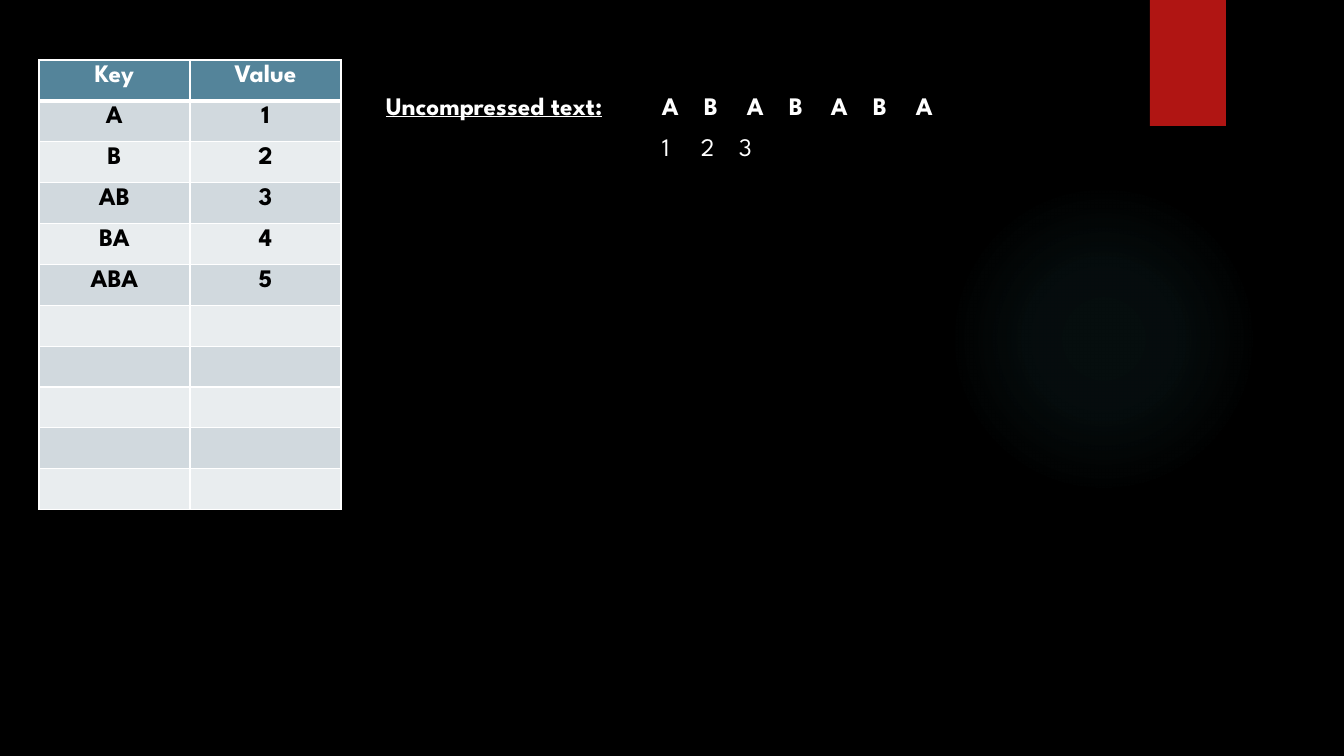
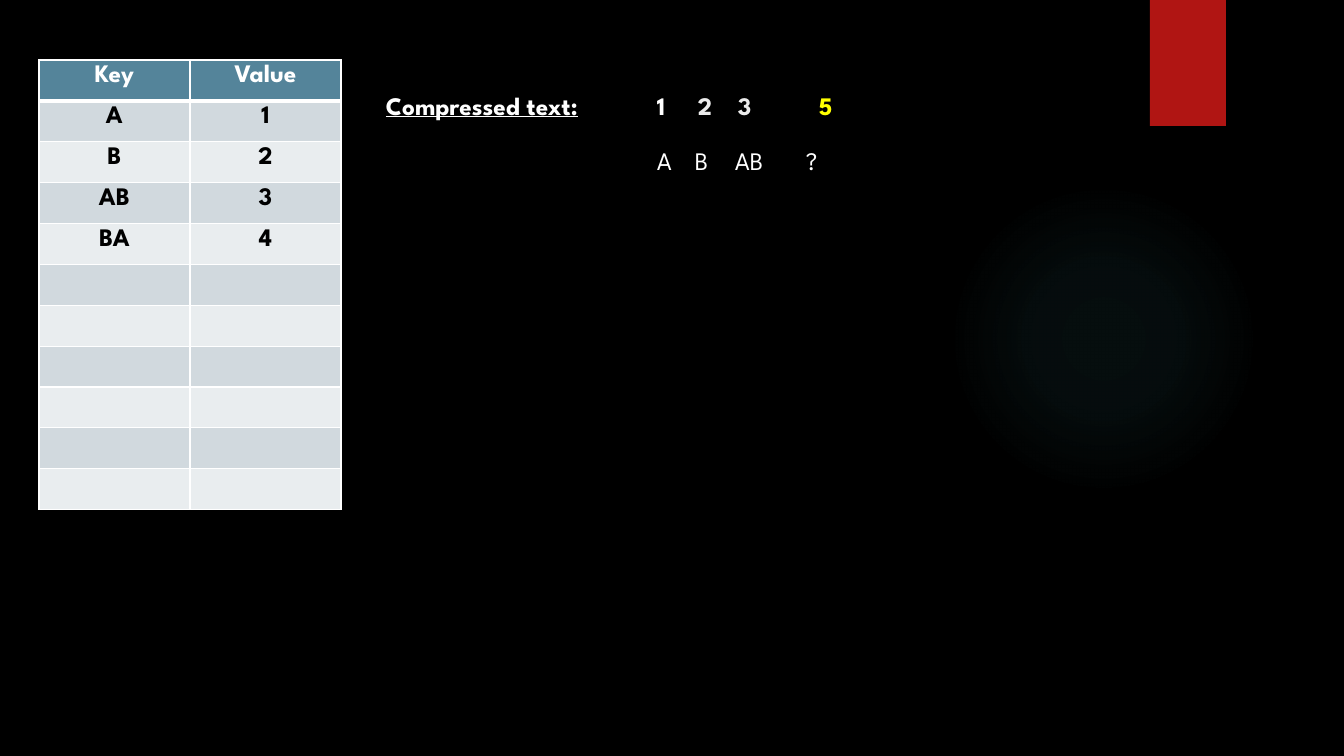
from dataclasses import dataclass

from lxml.etree import SubElement
from pptx import Presentation
from pptx.dml.color import RGBColor
from pptx.enum.shapes import MSO_SHAPE as Shape
from pptx.enum.text import PP_ALIGN as Align
from pptx.oxml import parse_xml
from pptx.oxml.ns import nsdecls, qn
from pptx.slide import Slide
from pptx.util import Emu, Pt

EMU_PER_PX = 914400 / 100.8
FONT = "League Spartan"
WHITE, BLACK, PALE, YELLOW = "FFFFFF", "000000", "EBEBEB", "FFFF00"
RED, TEAL, GLOW = "B01513", "54849A", "50B9C1"
BANDS = ("D1D9DE", "E9EDEF")
TABLE_ROWS = 11


@dataclass(frozen=True)
class Token:
    text: str
    color: str = WHITE


@dataclass(frozen=True)
class TextLine:
    x: int
    y: int
    w: int
    tokens: tuple[Token, ...]
    tabs: tuple[int, ...] = ()
    bold: bool = False
    underline: bool = False


@dataclass(frozen=True)
class Page:
    keys: tuple[str, ...]
    lines: tuple[TextLine, ...]


def px(n: int) -> Emu:
    return Emu(round(n * EMU_PER_PX))


def rgb(color: str) -> RGBColor:
    return RGBColor.from_string(color)


def tokens(text: str) -> tuple[Token, ...]:
    return tuple(Token(t) for t in text.split())


def add_run(p, text: str, color: str, bold: bool, underline: bool = False) -> None:
    r = p.add_run()
    r.text = text
    f = r.font
    f.name, f.size, f.bold = FONT, Pt(18), bold
    f.underline = underline
    f.color.rgb = rgb(color)


def add_decor(slide: Slide) -> None:
    glow = slide.shapes.add_shape(Shape.OVAL, px(949), px(184), px(310), px(310))
    band = slide.shapes.add_shape(Shape.RECTANGLE, px(1150), 0, px(76), px(126))
    for sp in (glow, band):
        sp.shadow.inherit = False
        sp.line.fill.background()

    glow.fill.background()
    stops = "".join(
        f'<a:gs pos="{pos}000"><a:srgbClr val="{GLOW}">'
        f'<a:alpha val="{alpha}000"/></a:srgbClr></a:gs>'
        for pos, alpha in ((0, 7), (36, 6), (69, 0))
    )
    grad = parse_xml(
        f'<a:gradFill {nsdecls("a")}><a:gsLst>{stops}</a:gsLst><a:path path="circle">'
        '<a:fillToRect l="50000" t="50000" r="50000" b="50000"/></a:path></a:gradFill>'
    )
    sp_pr = glow.element.spPr
    sp_pr.replace(sp_pr.find(qn("a:noFill")), grad)

    band.fill.solid()
    band.fill.fore_color.rgb = rgb(RED)
    band.element.spPr.find(qn("a:effectLst")).append(parse_xml(
        f'<a:outerShdw {nsdecls("a")} blurRad="{Pt(3)}" dist="{Pt(2)}" dir="5400000">'
        f'<a:srgbClr val="{BLACK}"><a:alpha val="45000"/></a:srgbClr></a:outerShdw>'
    ))


def set_borders(cell, top: int, bottom: int) -> None:
    tc_pr = cell._tc.get_or_add_tcPr()
    for side, width in (("L", 1), ("R", 1), ("T", top), ("B", bottom)):
        ln = SubElement(tc_pr, qn(f"a:ln{side}"), w=str(Pt(width)))
        SubElement(SubElement(ln, qn("a:solidFill")), qn("a:srgbClr"), val=WHITE)


def add_dictionary(slide: Slide, keys: tuple[str, ...]) -> None:
    frame = slide.shapes.add_table(TABLE_ROWS, 2, px(39), px(60), px(302), px(450))
    rows = [("Key", "Value")] + [(key, str(n)) for n, key in enumerate(keys, 1)]
    rows += [("", "")] * (TABLE_ROWS - len(rows))
    for i, row in enumerate(rows):
        for j, text in enumerate(row):
            cell = frame.table.cell(i, j)
            set_borders(cell, top=3 if i == 1 else 1, bottom=3 if i == 0 else 1)
            cell.fill.solid()
            cell.fill.fore_color.rgb = rgb(BANDS[(i - 1) % 2] if i else TEAL)
            if text:
                p = cell.text_frame.paragraphs[0]
                p.alignment = Align.CENTER
                add_run(p, text, BLACK if i else WHITE, bold=True)


def add_line(slide: Slide, line: TextLine) -> None:
    box = slide.shapes.add_textbox(px(line.x), px(line.y), px(line.w), px(40))
    tf = box.text_frame
    tf.word_wrap = True
    p = tf.paragraphs[0]
    if line.tabs:
        tab_list = SubElement(p._p.get_or_add_pPr(), qn("a:tabLst"))
        for pos in line.tabs:
            SubElement(tab_list, qn("a:tab"), pos=str(px(pos)), algn="l")
    for i, token in enumerate(line.tokens):
        text = f"\t{token.text}" if i else token.text
        add_run(p, text, token.color, line.bold, line.underline)


def heading(text: str) -> TextLine:
    return TextLine(376, 85, 264, (Token(text),), bold=True, underline=True)


PAGES = (
    Page(("A", "B", "AB", "BA", "ABA"), (
        heading("Uncompressed text:"),
        TextLine(652, 85, 310, tokens("A B A B A B A"),
                 (42, 85, 127, 169, 211, 254), bold=True),
        TextLine(652, 126, 126, tokens("1 2 3"), (39, 77)),
    )),
    Page(("A", "B", "AB", "BA"), (
        heading("Compressed text:"),
        TextLine(647, 85, 219,
                 (Token("1"), Token("2", PALE), Token("3", PALE), Token("5", YELLOW)),
                 (41, 81, 162), bold=True),
        TextLine(647, 140, 216, tokens("A B AB ?"), (38, 78, 149)),
    )),
)


def main() -> None:
    prs = Presentation()
    prs.slide_width, prs.slide_height = px(1344), px(756)
    background = prs.slide_master.background.fill
    background.solid()
    background.fore_color.rgb = rgb(BLACK)
    for page in PAGES:
        slide = prs.slides.add_slide(prs.slide_layouts[6])
        add_decor(slide)
        add_dictionary(slide, page.keys)
        for line in page.lines:
            add_line(slide, line)
    prs.save("out.pptx")


if __name__ == "__main__":
    main()
